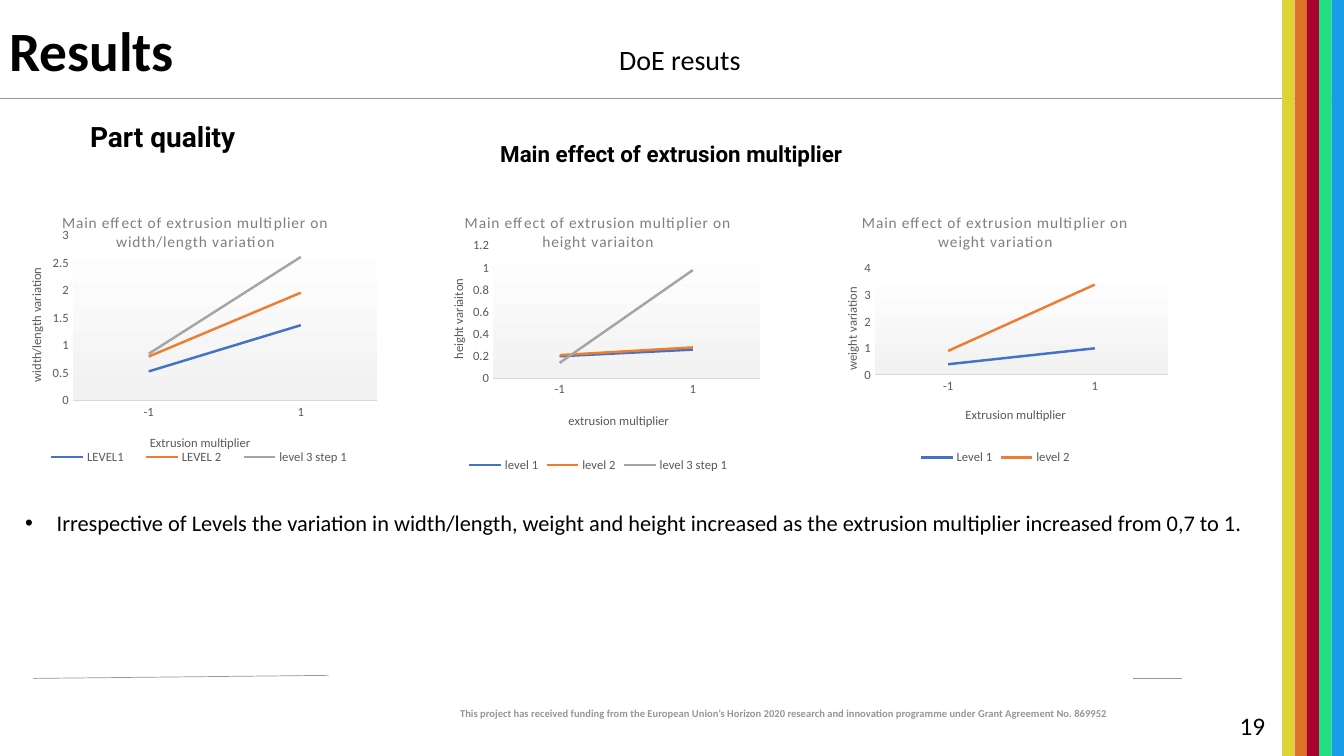
from lxml import etree
from pptx import Presentation
from pptx.chart.data import CategoryChartData
from pptx.dml.color import RGBColor
from pptx.enum import chart as charts, shapes, text
from pptx.oxml import parse_xml
from pptx.oxml.ns import nsdecls, qn
from pptx.util import Pt

COLORS = {
    "black": "000000", "rule": "969696", "label": "595959", "heading": "7F7F7F",
    "axis": "D9D9D9", "plot_top": "FFFFFF", "plot_bottom": "F2F2F2",
}
LINE_COLORS = ["4472C4", "ED7D31", "A5A5A5"]
STRIPES = ["DDD334", "DD722A", "A90230", "21DE80", "189DE8"]
PAGE_W, PAGE_H, STRIPE_W = 960, 540, 8.83
RULES = [(23.8, 484.6, 234.7, 482.4), (0, 70.6, PAGE_W, 70.6), (809.3, 484.6, 844.6, 484.6)]

TITLE = "Results"
FINDING = ("Irrespective of Levels the variation in width/length, weight and height increased "
           "as the extrusion multiplier increased from 0,7 to 1.")
FUNDING = ("This project has received funding from the European Union’s Horizon 2020 research "
           "and innovation programme under Grant Agreement No. 869952")
LABELS = [
    (FUNDING, (279.4, 501.8, 518.4, 25.2),
     dict(size=7.5, bold=True, color="rule", align="RIGHT")),
    ("DoE resuts", (431.3, 26.6, 108.7, 31.7), dict(size=20, align="CENTER", wrap=False)),
    ("Part quality", (-5.8, 82.8, 244.1, 30.2),
     dict(size=20, bold=True, font="Roboto", align="CENTER", inset=(5.76, 2.88))),
    ("Main effect of extrusion multiplier", (308.9, 97.2, 341.3, 25.2),
     dict(size=16, bold=True, font="Roboto", align="CENTER", inset=(5.76, 2.88))),
    ("19", (878.4, 504, 45.4, 28.8), dict(size=18)),
]

# Layout entries are fractions of the chart: x, y and, where given, width and height.
CATEGORIES = ["-1", "1"]
CHARTS = [
    dict(at=(7.9, 141.8, 263.5, 198.7), y_title="width/length variation",
         title="Main effect of extrusion multiplier on width/length variation",
         x_title="Extrusion multiplier", scale=(3, 0.5),
         plot=(0.167, 0.133, 0.825, 0.594), x_at=(0.37, 0.84), y_at=(0.04, 0.24),
         legend=(0.06, 0.88, 0.9, 0.1),
         series={"LEVEL1": (0.53, 1.37), "LEVEL 2": (0.8, 1.96),
                 "level 3 step 1": (0.85, 2.61)}),
    dict(at=(299.5, 141.8, 255.6, 198.7), y_title="height variaiton",
         title="Main effect of extrusion multiplier on height variaiton",
         x_title="extrusion multiplier", scale=(1.2, 0.2),
         plot=(0.206, 0.17, 0.745, 0.477), x_at=(0.41, 0.76), y_at=(0.08, 0.28),
         legend=None,
         series={"level 1": (0.2, 0.26), "level 2": (0.21, 0.28),
                 "level 3 step 1": (0.14, 0.98)}),
    dict(at=(583.2, 141.8, 255.6, 193), y_title="weight variation",
         title="Main effect of extrusion multiplier on weight variation",
         x_title="Extrusion multiplier", scale=(4, 1),
         plot=(0.163, 0.26, 0.82, 0.393), x_at=(0.41, 0.76), y_at=(0.07, 0.32),
         legend=None,
         series={"Level 1": (0.4, 1), "level 2": (0.9, 3.4)}),
]


def rgb(value):
    return RGBColor.from_string(COLORS.get(value, value))


def style_font(font, size, color="black", bold=False, name="Calibri"):
    font.size, font.bold, font.name = Pt(size), bold, name
    font.color.rgb = rgb(color)


def write(box, content, size, color="black", bold=False, font="Calibri", align="LEFT",
          wrap=True, inset=(7.2, 3.6), anchor="TOP", spacing=1.0, bullet_indent=0):
    frame = box.text_frame
    frame.text = content
    frame.word_wrap = wrap
    frame.auto_size = text.MSO_AUTO_SIZE.NONE
    frame.vertical_anchor = text.MSO_ANCHOR[anchor]
    frame.margin_left = frame.margin_right = Pt(inset[0])
    frame.margin_top = frame.margin_bottom = Pt(inset[1])
    para = frame.paragraphs[0]
    para.alignment = text.PP_ALIGN[align]
    para.line_spacing, para.space_before = spacing, Pt(0)
    if bullet_indent:
        props = para._p.get_or_add_pPr()
        props.set("marL", str(Pt(bullet_indent)))
        props.set("indent", str(-Pt(bullet_indent)))
        etree.SubElement(props, qn("a:buFont")).set("typeface", "Arial")
        etree.SubElement(props, qn("a:buChar")).set("char", "•")
    style_font(para.runs[0].font, size, color, bold, font)


def place(box, at):
    box.left, box.top, box.width, box.height = map(Pt, at)


def add_rule(page, ends):
    rule = page.shapes.add_connector(shapes.MSO_CONNECTOR.STRAIGHT, *map(Pt, ends))
    rule.line.color.rgb, rule.line.width = rgb("rule"), Pt(0.5)
    etree.SubElement(rule._element.spPr, qn("a:effectLst"))


def set_layout(element, fractions, inner=False):
    """Fix a chart part's place, given as fractions of the chart."""
    for old in element.findall(qn("c:layout")):
        element.remove(old)
    layout = etree.Element(qn("c:layout"))
    manual = etree.SubElement(layout, qn("c:manualLayout"))
    settings = [("layoutTarget", "inner")] if inner else []
    settings += [("xMode", "edge"), ("yMode", "edge")] + list(zip("xywh", fractions))
    for tag, value in settings:
        etree.SubElement(manual, qn("c:" + tag)).set("val", str(value))
    overlay = element.find(qn("c:overlay"))
    if overlay is None:
        element.insert(0, layout)
    else:
        overlay.addprevious(layout)


def title_span(owner, content, size, color):
    frame = owner.text_frame
    frame.text = content
    span = frame.paragraphs[0].runs[0]
    style_font(span.font, size, color)
    return span


def style_axis(axis, content, at):
    axis.has_major_gridlines = False
    axis.major_tick_mark = axis.minor_tick_mark = charts.XL_TICK_MARK.NONE
    style_font(axis.tick_labels.font, 9, "label")
    title_span(axis.axis_title, content, 9, "label")
    set_layout(axis.axis_title._element, at)


def add_effect_chart(page, effect):
    data = CategoryChartData()
    data.categories = CATEGORIES
    for name, values in effect["series"].items():
        data.add_series(name, values)
    chart = page.shapes.add_chart(
        charts.XL_CHART_TYPE.LINE, *map(Pt, effect["at"]), data).chart
    style_font(chart.font, 10)
    chart.has_title = True
    heading = title_span(chart.chart_title, effect["title"], 11, "heading")
    heading._r.get_or_add_rPr().set("spc", "50")

    x_axis, y_axis = chart.category_axis, chart.value_axis
    style_axis(x_axis, effect["x_title"], effect["x_at"])
    style_axis(y_axis, effect["y_title"], effect["y_at"])
    x_axis.format.line.color.rgb, x_axis.format.line.width = rgb("axis"), Pt(0.75)
    y_axis.format.line.fill.background()
    y_axis.minimum_scale = 0
    y_axis.maximum_scale, y_axis.major_unit = effect["scale"]
    y_axis.tick_labels.number_format = "General"
    y_axis.tick_labels.number_format_is_linked = False
    turn = y_axis.axis_title.text_frame._txBody.find(qn("a:bodyPr"))
    turn.set("rot", "-5400000")
    turn.set("vert", "horz")

    chart.has_legend = True
    chart.legend.position = charts.XL_LEGEND_POSITION.BOTTOM
    chart.legend.include_in_layout = False
    style_font(chart.legend.font, 9, "label")
    if effect["legend"]:
        set_layout(chart.legend._element, effect["legend"])

    chart.plots[0].vary_by_categories = False
    for series, color in zip(chart.plots[0].series, LINE_COLORS):
        series.smooth = False
        series.marker.style = charts.XL_MARKER_STYLE.NONE
        series.format.line.color.rgb, series.format.line.width = rgb(color), Pt(1.75)

    area = chart._chartSpace.chart.plotArea
    set_layout(area, effect["plot"], inner=True)
    stops = "".join(f'<a:gs pos="{pos}"><a:srgbClr val="{COLORS[name]}"/></a:gs>'
                    for pos, name in [(0, "plot_top"), (100000, "plot_bottom")])
    area.append(parse_xml(
        f'<c:spPr {nsdecls("c", "a")}><a:gradFill><a:gsLst>{stops}</a:gsLst>'
        '<a:lin ang="5400000" scaled="0"/></a:gradFill><a:ln><a:noFill/></a:ln></c:spPr>'))


deck = Presentation()
deck.slide_width, deck.slide_height = Pt(PAGE_W), Pt(PAGE_H)
page = deck.slides.add_slide(deck.slide_layouts[1])
title, body = page.placeholders
place(title, (-0.7, 11.5, 690.5, 54))
write(title, TITLE, 39.6, bold=True, anchor="MIDDLE", spacing=0.9)
place(body, (10.8, 360, 907.9, 26.6))
write(body, FINDING, 16, align="JUSTIFY", bullet_indent=22.5)

for ends in RULES:
    add_rule(page, ends)
for index, color in enumerate(STRIPES):
    left = PAGE_W - STRIPE_W * (len(STRIPES) - index)
    stripe = page.shapes.add_shape(shapes.MSO_SHAPE.RECTANGLE, Pt(left), Pt(0),
                                   Pt(STRIPE_W), Pt(PAGE_H))
    stripe.shadow.inherit = False
    stripe.fill.solid()
    stripe.fill.fore_color.rgb = rgb(color)
    stripe.line.fill.background()
for content, at, style in LABELS:
    write(page.shapes.add_textbox(*map(Pt, at)), content, **style)
for effect in CHARTS:
    add_effect_chart(page, effect)
deck.save("out.pptx")
